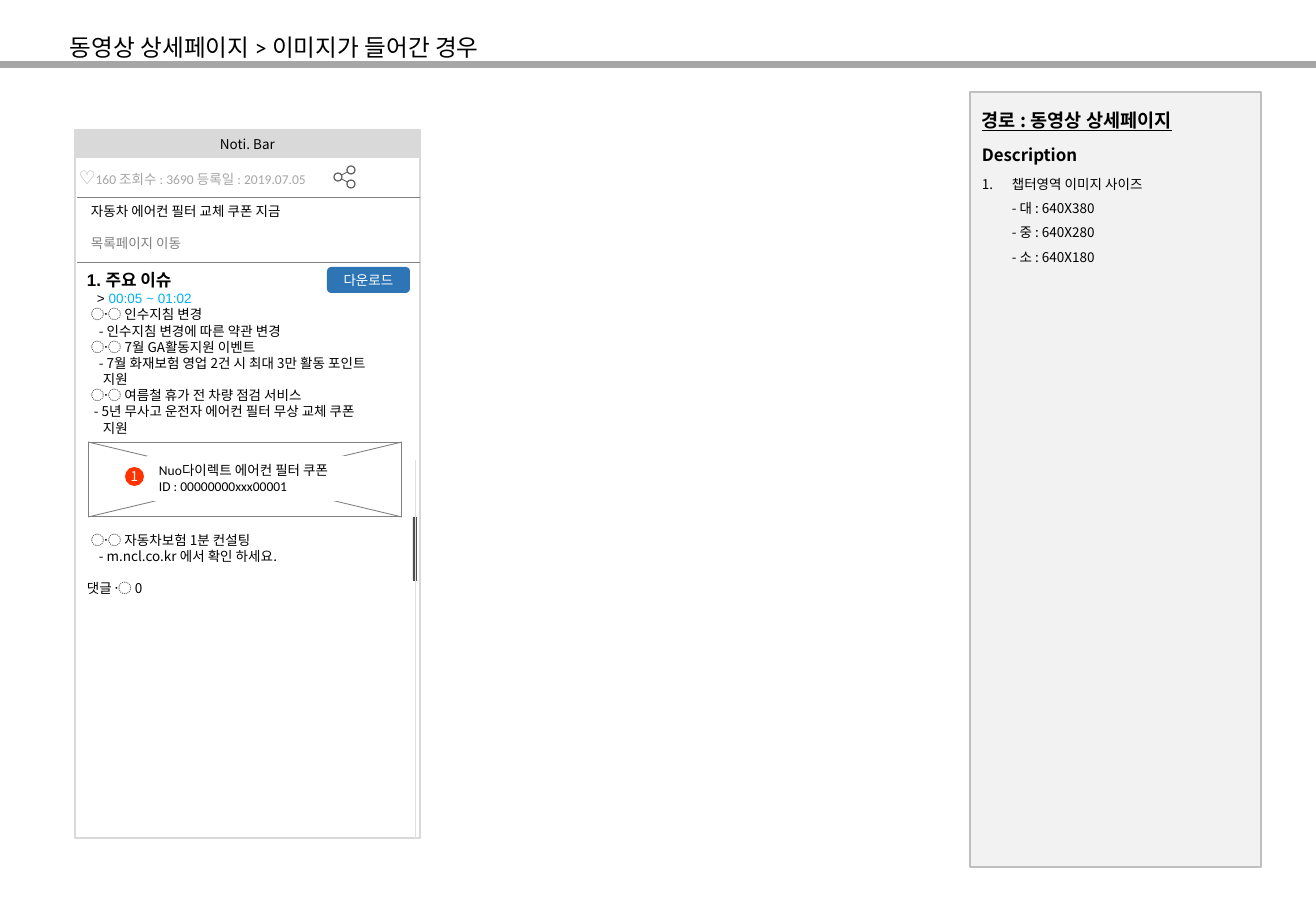
from pptx import Presentation
from pptx.dml.color import RGBColor
from pptx.enum.shapes import MSO_CONNECTOR as Connector, MSO_SHAPE as Shape
from pptx.enum.text import MSO_ANCHOR as Anchor, PP_ALIGN as Align
from pptx.oxml.ns import qn
from pptx.util import Emu, Pt
from lxml.etree import SubElement

PX = 7526
COLORS = {
    "black": "000000", "white": "FFFFFF", "panel": "F2F2F2", "border": "BFBFBF",
    "bar": "D9D9D9", "rule": "808080", "muted": "A6A6A6", "track": "E0E0E0",
    "thumb": "4D4D4D", "time": "00B0F0", "button": "2E75B6", "badge": "FF3300",
    "icon": "5F5F5F",
}
SANS, ARIAL, CALIBRI = "Noto Sans CJK KR", "Arial", "Calibri"

SHAPES = [
    (Shape.RECTANGLE, (970, 92, 291, 775), "panel", "border", 0.75),
    (Shape.RECTANGLE, (75, 130, 345, 708), "white", "bar", 0.75),
    (Shape.RECTANGLE, (75, 130, 345, 28), "bar", None, 0),
    (Shape.ROUNDED_RECTANGLE, (413, 517, 4, 64), "thumb", None, 0),
    (Shape.ROUNDED_RECTANGLE, (327, 267, 83, 26), "button", None, 0),
    (Shape.RECTANGLE, (0, 62, 1316, 5), "muted", "muted", 1),
    (Shape.RECTANGLE, (88, 442, 314, 75), "white", "rule", 0.5),
]
LINES = [
    ((77, 197), (420, 197), "rule"),
    ((77, 262), (420, 262), "rule"),
    ((415, 460), (415, 838), "track"),
    ((88, 517), (402, 442), "rule"),
    ((88, 442), (402, 517), "rule"),
    ((338, 177), (351, 170), "icon"),
    ((338, 177), (351, 184), "icon"),
]
COVERS = [
    (Shape.RECTANGLE, (147, 456, 202, 45), "white", None, 0),
    (Shape.OVAL, (125, 467, 19, 19), "badge", None, 0),
]
SHARE_NODES = [(351, 170), (338, 177), (351, 184)]
NODE_RADIUS = 4

HEADING = {"size": 10, "bold": True}
LABELS = [
    ((75, 130, 345, 28), "Noti. Bar", SANS, "black"),
    ((327, 267, 83, 26), "다운로드", CALIBRI, "white"),
    ((125, 467, 19, 19), "1", SANS, "white"),
]
TEXTS = [
    ((58, 27, 500, 41), CALIBRI, [
        ([("동영상 상세페이지 > 이미지가 들어간 경우", {"size": 14})], {}),
    ]),
    ((67, 160, 290, 35), CALIBRI, [
        ([("♡", {"size": 11, "color": "muted"}),
          ("160 조회수 : 3690 등록일 : 2019.07.05", {"color": "muted"})], {}),
    ]),
    ((75, 197, 345, 61), ARIAL, [
        ([("자동차 에어컨 필터 교체 쿠폰 지금", {})], {"left": 4}),
        ([("목록페이지 이동", {"color": "rule"})], {"left": 4, "before": 9.6}),
    ]),
    ((75, 264, 345, 347), SANS, [
        ([("1. 주요 이슈", {**HEADING, "name": ARIAL})], {}),
        ([("> ", {"name": ARIAL}),
          ("00:05 ~ 01:02", {"name": ARIAL, "color": "time"})], {"left": 10}),
        ([("〮 인수지침 변경", {})], {"left": 4}),
        ([("- 인수지침 변경에 따른 약관 변경", {})], {"left": 12}),
        ([("〮 7월 GA활동지원 이벤트", {})], {"left": 4}),
        ([("- 7월 화재보험 영업 2건 시 최대 3만 활동 포인트", {})], {"left": 12}),
        ([("지원", {})], {"left": 16}),
        ([("〮 여름철 휴가 전 차량 점검 서비스", {})], {"left": 4}),
        ([("- 5년 무사고 운전자 에어컨 필터 무상 교체 쿠폰", {})], {"left": 7}),
        ([("지원", {})], {"left": 16}),
        ([("〮 자동차보험 1분 컨설팅", {})], {"left": 4, "before": 57}),
        ([("- m.ncl.co.kr 에서 확인 하세요.", {})], {"left": 12}),
        ([("댓글 〮 0", {})], {"before": 9.6}),
    ]),
    ((147, 456, 202, 45), CALIBRI, [
        ([("Nuo다이렉트 에어컨 필터 쿠폰", {})], {}),
        ([("ID : 00000000xxx00001", {})], {}),
    ]),
    ((970, 92, 291, 775), SANS, [
        ([("경로 : 동영상 상세페이지",
           {"size": 11, "bold": True, "underline": True})], {"spacing": 1.5}),
        ([("Description", HEADING)], {"spacing": 1.5, "before": 2}),
        ([("챕터영역 이미지 사이즈", {})],
         {"spacing": 1.5, "before": 1.6, "left": 30, "numbered": True}),
        *[([(f"- {size}", {})], {"spacing": 1.5, "left": 30})
          for size in ("대 : 640X380", "중 : 640X280", "소 : 640X180")],
    ]),
]


def px(*lengths):
    return [Emu(length * PX) for length in lengths]


def rgb(name):
    return RGBColor.from_string(COLORS[name])


def draw_shape(kind, box, fill, line, width):
    shape = slide.shapes.add_shape(kind, *px(*box))
    shape.shadow.inherit = False
    shape.fill.solid()
    shape.fill.fore_color.rgb = rgb(fill)
    if line:
        shape.line.color.rgb = rgb(line)
        shape.line.width = Pt(width)
    else:
        shape.line.fill.background()


def draw_line(start, end, color):
    line = slide.shapes.add_connector(Connector.STRAIGHT, *px(*start, *end))
    line.line.color.rgb = rgb(color)
    line.line.width = Pt(0.5)
    SubElement(line._element.spPr, qn("a:effectLst"))


def write_paragraph(paragraph, runs, font_name, layout):
    properties = paragraph._p.get_or_add_pPr()
    left = layout.get("left", 0) * PX
    properties.set("marL", str(left))
    if layout.get("numbered"):
        properties.set("indent", str(-left))
        SubElement(properties, qn("a:buFont"), typeface="+mj-lt")
        SubElement(properties, qn("a:buAutoNum"), type="arabicPeriod")
    if "spacing" in layout:
        paragraph.line_spacing = layout["spacing"]
    paragraph.space_before = Pt(layout.get("before", 0))
    for text, style in runs:
        run = paragraph.add_run()
        run.text = text
        values = {"name": font_name, "size": 8, "color": "black", **style}
        run.font.color.rgb = rgb(values.pop("color"))
        values["size"] = Pt(values["size"])
        for name, value in values.items():
            setattr(run.font, name, value)


def write_text(box, font_name, paragraphs, centered=False):
    frame = slide.shapes.add_textbox(*px(*box)).text_frame
    frame.word_wrap = True
    if centered:
        frame.vertical_anchor = Anchor.MIDDLE
        for side in ("left", "right", "top", "bottom"):
            setattr(frame, f"margin_{side}", 0)
    for index, (runs, layout) in enumerate(paragraphs):
        paragraph = frame.add_paragraph() if index else frame.paragraphs[0]
        write_paragraph(paragraph, runs, font_name, layout)
        if centered:
            paragraph.alignment = Align.CENTER


presentation = Presentation()
presentation.slide_width, presentation.slide_height = px(1316, 911)
slide = presentation.slides.add_slide(presentation.slide_layouts[6])

for item in SHAPES:
    draw_shape(*item)
for item in LINES:
    draw_line(*item)
for item in COVERS:
    draw_shape(*item)
for x, y in SHARE_NODES:
    box = (x - NODE_RADIUS, y - NODE_RADIUS, 2 * NODE_RADIUS, 2 * NODE_RADIUS)
    draw_shape(Shape.OVAL, box, "white", "icon", 0.75)
for box, text, font_name, color in LABELS:
    write_text(box, font_name, [([(text, {"color": color})], {})], centered=True)
for item in TEXTS:
    write_text(*item)

presentation.save("out.pptx")
